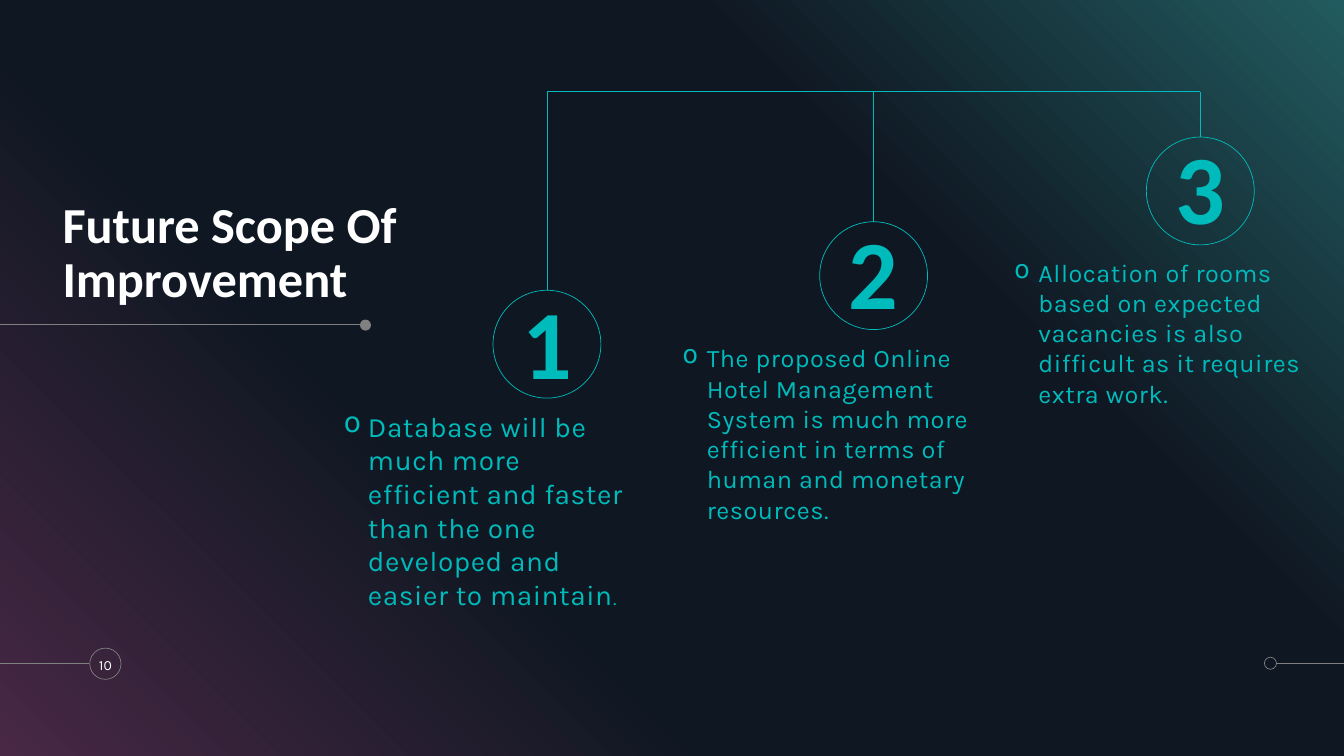
from lxml import etree
from pptx import Presentation
from pptx.dml.color import RGBColor
from pptx.enum.shapes import MSO_CONNECTOR, MSO_SHAPE
from pptx.enum.text import MSO_ANCHOR, PP_ALIGN
from pptx.oxml.ns import qn
from pptx.util import Inches, Pt

STRAIGHT = MSO_CONNECTOR.STRAIGHT
OVAL, RECT = MSO_SHAPE.OVAL, MSO_SHAPE.RECTANGLE
CENTER = PP_ALIGN.CENTER
TOP, MIDDLE, BOTTOM = MSO_ANCHOR.TOP, MSO_ANCHOR.MIDDLE, MSO_ANCHOR.BOTTOM

WIDTH, HEIGHT = 13.33, 7.5
TEAL, GRAY, WHITE = "00BBBB", "808080", "FFFFFF"
HEAD_FONT, BODY_FONT = "Calibri", "Karla"
GRADIENT = [(0, "482845"), (34, "0F1722"), (69, "0F1722"), (100, "225B5F")]
RAIL_Y = 0.91
CIRCLE = 1.07

# circle left, circle top, number inset, text left, text top, text height, runs
STEPS = [
    (4.89, 2.88, 0.08, 3.41, 4.06, 2.1,
     [("Database will be much more efficient and faster than the one "
       "developed and easier to maintain", 20), (".", 14)]),
    (8.13, 2.2, 0.04, 6.77, 3.4, 1.95,
     [("The proposed Online Hotel Management System is much more efficient "
       "in terms of human and monetary resources.", 18)]),
    (11.37, 1.36, 0.04, 10.06, 2.55, 2.53,
     [("Allocation of rooms based on expected vacancies is also difficult "
       "as it requires extra work.", 18)]),
]


def rgb(color):
    return RGBColor.from_string(color)


def add_line(s, x1, y1, x2, y2, color):
    line = s.shapes.add_connector(
        STRAIGHT, Inches(x1), Inches(y1), Inches(x2), Inches(y2))
    line.line.color.rgb = rgb(color)
    line.line.width = Pt(0.5)
    etree.SubElement(line._element.spPr, qn("a:effectLst"))


def add_circle(s, x, y, size, color, filled=False):
    sp = s.shapes.add_shape(
        OVAL, Inches(x), Inches(y), Inches(size), Inches(size))
    sp.shadow.inherit = False
    if filled:
        sp.fill.solid()
        sp.fill.fore_color.rgb = rgb(color)
        sp.line.fill.background()
    else:
        sp.fill.background()
        sp.line.color.rgb = rgb(color)
        sp.line.width = Pt(0.5)
    return sp


def add_text_box(s, x, y, w, h):
    return s.shapes.add_textbox(Inches(x), Inches(y), Inches(w), Inches(h))


def set_frame(sp, anchor, top=0):
    """Prepare a wrapping text frame without side margins."""
    tf = sp.text_frame
    tf.word_wrap = True
    tf.vertical_anchor = anchor
    tf.margin_left = tf.margin_right = tf.margin_bottom = 0
    tf.margin_top = Inches(top)
    return tf


def add_run(p, text, size, font, color, bold=False):
    r = p.add_run()
    r.text = text
    r.font.size = Pt(size)
    r.font.name = font
    r.font.bold = bold
    r.font.color.rgb = rgb(color)
    return r


def add_backdrop(s):
    sp = s.shapes.add_shape(RECT, 0, 0, Inches(WIDTH), Inches(HEIGHT))
    sp.shadow.inherit = False
    sp.line.fill.background()
    sp.fill.gradient()
    sp.fill.gradient_angle = 45
    stops = sp._element.spPr.find(qn("a:gradFill")).find(qn("a:gsLst"))
    for stop in list(stops):
        stops.remove(stop)
    for position, color in GRADIENT:
        stop = etree.SubElement(stops, qn("a:gs"), pos=str(position * 1000))
        etree.SubElement(stop, qn("a:srgbClr"), val=color)


def add_title(s, x, y, w, h):
    rule_y = y + h + 0.16
    add_line(s, 0, rule_y, 3.58, rule_y, GRAY)
    add_circle(s, 3.57, rule_y - 0.05, 0.11, GRAY, filled=True)
    p = set_frame(add_text_box(s, x, y, w, h), BOTTOM).paragraphs[0]
    p.line_spacing = 0.9
    add_run(p, "Future Scope Of Improvement", 36, HEAD_FONT, WHITE, bold=True)


def add_rail(s):
    """Draw the horizontal rail and a drop to each numbered circle."""
    centers = [step[0] + CIRCLE / 2 for step in STEPS]
    add_line(s, centers[0], RAIL_Y, centers[-1], RAIL_Y, TEAL)
    for center, step in zip(centers, STEPS):
        add_line(s, center, RAIL_Y, center, step[1], TEAL)


def add_number(s, x, y, inset, number):
    tf = set_frame(add_circle(s, x, y, CIRCLE, TEAL), MIDDLE, inset)
    p = tf.paragraphs[0]
    p.alignment = CENTER
    p.line_spacing = 0.9
    p.space_before = Pt(10)
    add_run(p, str(number), 70, HEAD_FONT, TEAL, bold=True)


def add_bullet_text(s, x, y, h, runs):
    p = set_frame(add_text_box(s, x, y, 2.87, h), TOP).paragraphs[0]
    p.space_before = Pt(6)
    pPr = p._p.get_or_add_pPr()
    pPr.set("marL", str(Inches(0.24)))
    pPr.set("indent", str(Inches(-0.24)))
    bullet_color = etree.SubElement(pPr, qn("a:buClr"))
    etree.SubElement(bullet_color, qn("a:srgbClr"), val=TEAL)
    etree.SubElement(pPr, qn("a:buChar"), char="o")
    for text, size in runs:
        r = add_run(p, text, size, BODY_FONT, TEAL)
        r._r.get_or_add_rPr().set("spc", "40")


def add_footer(s, y):
    add_line(s, 0, y, 0.88, y, GRAY)
    add_circle(s, 0.89, y - 0.15, 0.31, GRAY)
    add_line(s, 12.66, y, WIDTH, y, GRAY)
    add_circle(s, 12.54, y - 0.06, 0.12, GRAY)
    p = set_frame(add_text_box(s, 0.85, y - 0.15, 0.39, 0.33), MIDDLE).paragraphs[0]
    p.alignment = CENTER
    add_run(p, "10", 10, BODY_FONT, WHITE)


def main():
    prs = Presentation()
    prs.slide_width, prs.slide_height = Inches(WIDTH), Inches(HEIGHT)
    s = prs.slides.add_slide(prs.slide_layouts[6])
    add_backdrop(s)
    add_rail(s)
    add_title(s, 0.62, 1.12, 3.35, 1.94)
    for number, step in enumerate(STEPS, 1):
        x, y, inset, text_x, text_y, text_h, runs = step
        add_number(s, x, y, inset, number)
        add_bullet_text(s, text_x, text_y, text_h, runs)
    add_footer(s, 6.58)
    prs.save("out.pptx")


if __name__ == "__main__":
    main()
